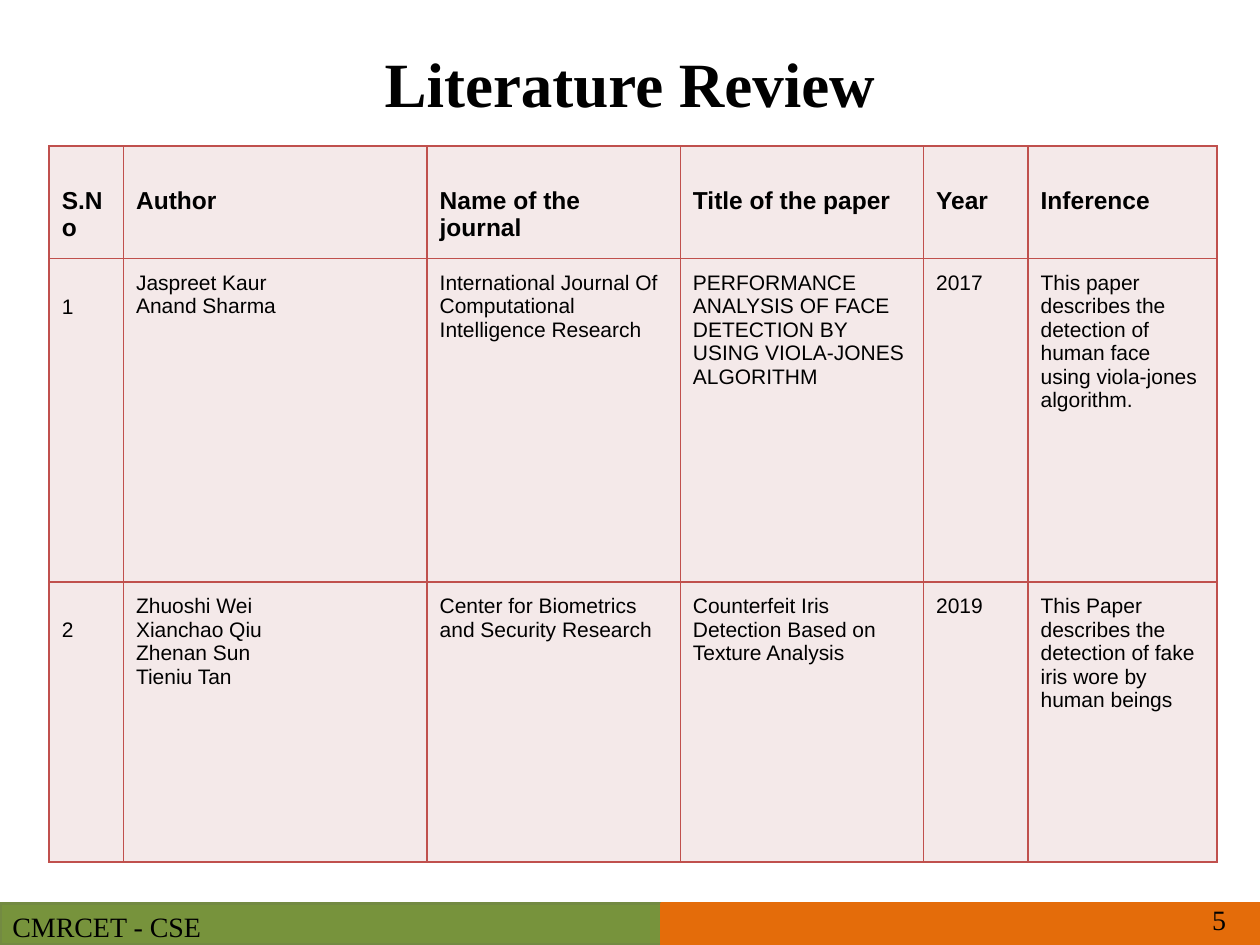
"""Build the literature review slide with its table and footer bar."""
from lxml import etree
from pptx import Presentation
from pptx.dml.color import RGBColor
from pptx.enum import shapes, text
from pptx.oxml import ns
from pptx.util import Pt

SERIF, SANS = "Times New Roman", "Arial"
BLACK, EDGE, CELL = "000000", "C0504D", "F4E9E9"
LEFT, MID = text.PP_ALIGN.LEFT, text.MSO_ANCHOR.MIDDLE

BARS = [
    (0, 378, "77933C", "738A42"),
    (378, 342, "E46C0A", "E46C0A"),
]
LABELS = [
    ("Literature Review", (36, 2.16, 648, 90), 36, True, text.PP_ALIGN.CENTER, MID),
    ("CMRCET - CSE", (0, 516.24, 131.76, 23.76), 16, False, LEFT, text.MSO_ANCHOR.TOP),
    ("5", (540, 511.2, 167.76, 28.8), 16, False, text.PP_ALIGN.RIGHT, MID),
]
COLS = [42.48, 173.52, 144.72, 138.96, 59.76, 108]
ROWS = [61.2, 185.04, 159.84]
HEAD = ["S.No", "Author", "Name of the journal", "Title of the paper", "Year", "Inference"]
PAPERS = [
    ["1", ["Jaspreet Kaur", "Anand Sharma"],
     "International Journal Of Computational Intelligence Research",
     "PERFORMANCE ANALYSIS OF FACE DETECTION BY USING VIOLA-JONES ALGORITHM",
     "2017",
     "This paper describes the detection of human face using viola-jones algorithm."],
    ["2", ["Zhuoshi Wei", "Xianchao Qiu", "Zhenan Sun", "Tieniu Tan"],
     "Center for Biometrics and Security Research",
     "Counterfeit Iris Detection Based on Texture Analysis",
     "2019",
     "This Paper describes the detection of fake iris wore by human beings"],
]
PAD, HEAD_TOP, NUM_TOP = 7.2, 23.3, 21


def rgb(code):
    """Turn a hex string into a colour."""
    return RGBColor.from_string(code)


def paint(item, code):
    """Give a shape or cell a solid fill."""
    item.fill.solid()
    item.fill.fore_color.rgb = rgb(code)


def write(frame, lines, size, face, bold=False, align=LEFT):
    """Write one paragraph per line of text."""
    frame.word_wrap = True
    for i, line in enumerate(lines):
        para = frame.add_paragraph() if i else frame.paragraphs[0]
        para.alignment = align
        run = para.add_run()
        run.text = line
        font = run.font
        font.size, font.name, font.bold = Pt(size), face, bold
        font.color.rgb = rgb(BLACK)


def border(cell):
    """Draw all four sides of a cell ahead of its fill."""
    props = cell._tc.get_or_add_tcPr()
    for i, side in enumerate(("lnL", "lnR", "lnT", "lnB")):
        line = etree.Element(ns.qn("a:" + side), w=str(Pt(1)))
        fill = etree.SubElement(line, ns.qn("a:solidFill"))
        etree.SubElement(fill, ns.qn("a:srgbClr"), val=EDGE)
        props.insert(i, line)


def add_grid(slide):
    """Add the table of papers."""
    rows = [HEAD] + PAPERS
    grid = slide.shapes.add_table(len(ROWS), len(COLS), Pt(28.08), Pt(83.52),
                                  Pt(sum(COLS)), Pt(sum(ROWS))).table
    grid.first_row = grid.horz_banding = False
    for col, width in zip(grid.columns, COLS):
        col.width = Pt(width)
    for r, (row, height) in enumerate(zip(rows, ROWS)):
        grid.rows[r].height = Pt(height)
        for c, value in enumerate(row):
            cell = grid.cell(r, c)
            top = HEAD_TOP if r == 0 else NUM_TOP if c == 0 else PAD
            cell.margin_left = cell.margin_right = cell.margin_bottom = Pt(PAD)
            cell.margin_top = Pt(top)
            lines = value if isinstance(value, list) else [value]
            write(cell.text_frame, lines, 12 if r else 14, SANS, r == 0)
            paint(cell, CELL)
            border(cell)


def main():
    """Build and save the slide."""
    deck = Presentation()
    deck.slide_width, deck.slide_height = Pt(720), Pt(540)
    slide = deck.slides.add_slide(deck.slide_layouts[6])
    for left, width, fill, line in BARS:
        bar = slide.shapes.add_shape(shapes.MSO_SHAPE.RECTANGLE,
                                     Pt(left), Pt(516.24), Pt(width), Pt(23.76))
        bar.shadow.inherit = False
        paint(bar, fill)
        bar.line.color.rgb = rgb(line)
        bar.line.width = Pt(2)
    for words, place, size, bold, align, anchor in LABELS:
        frame = slide.shapes.add_textbox(*map(Pt, place)).text_frame
        frame.vertical_anchor = anchor
        write(frame, [words], size, SERIF, bold, align)
    add_grid(slide)
    deck.save("out.pptx")


if __name__ == "__main__":
    main()
